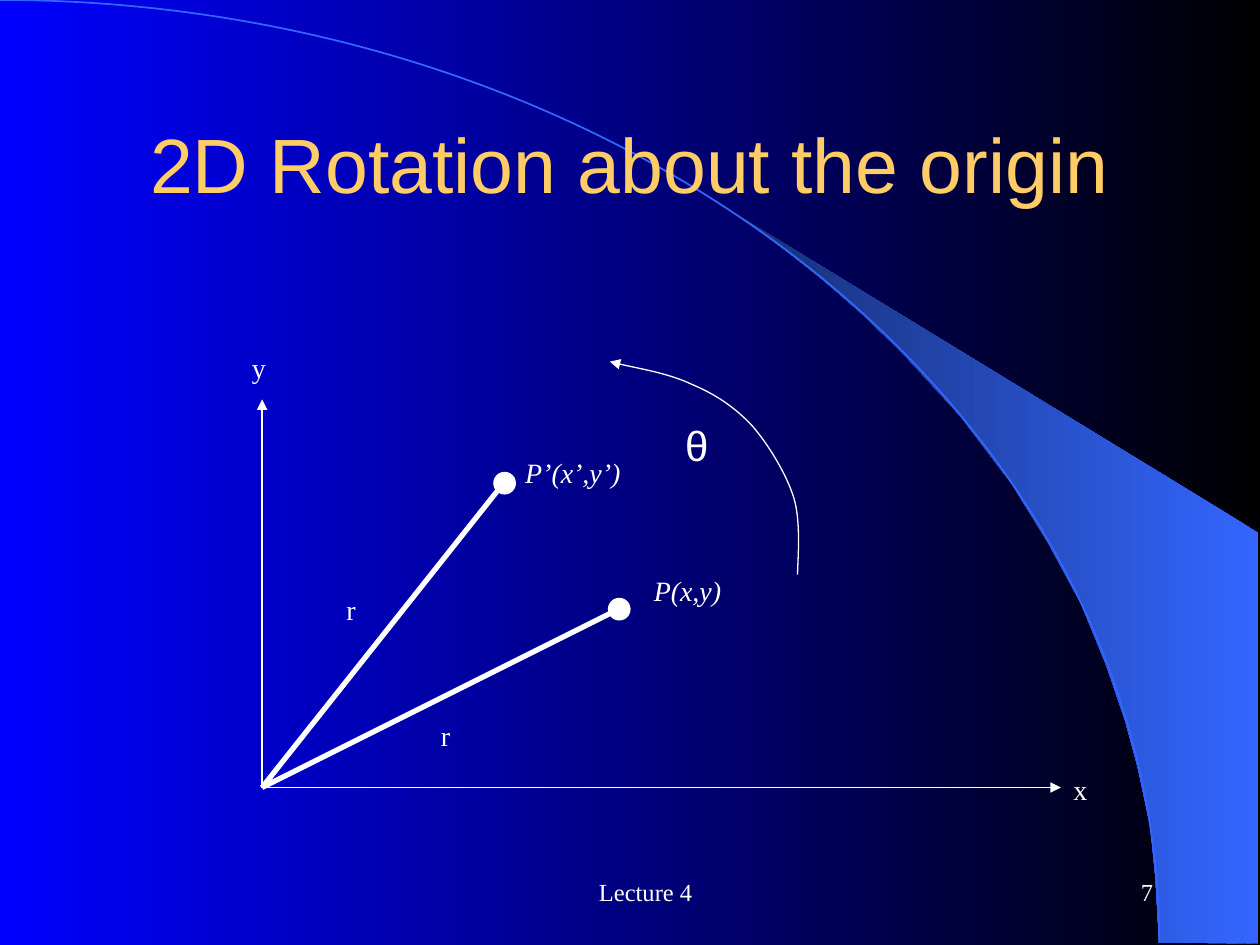
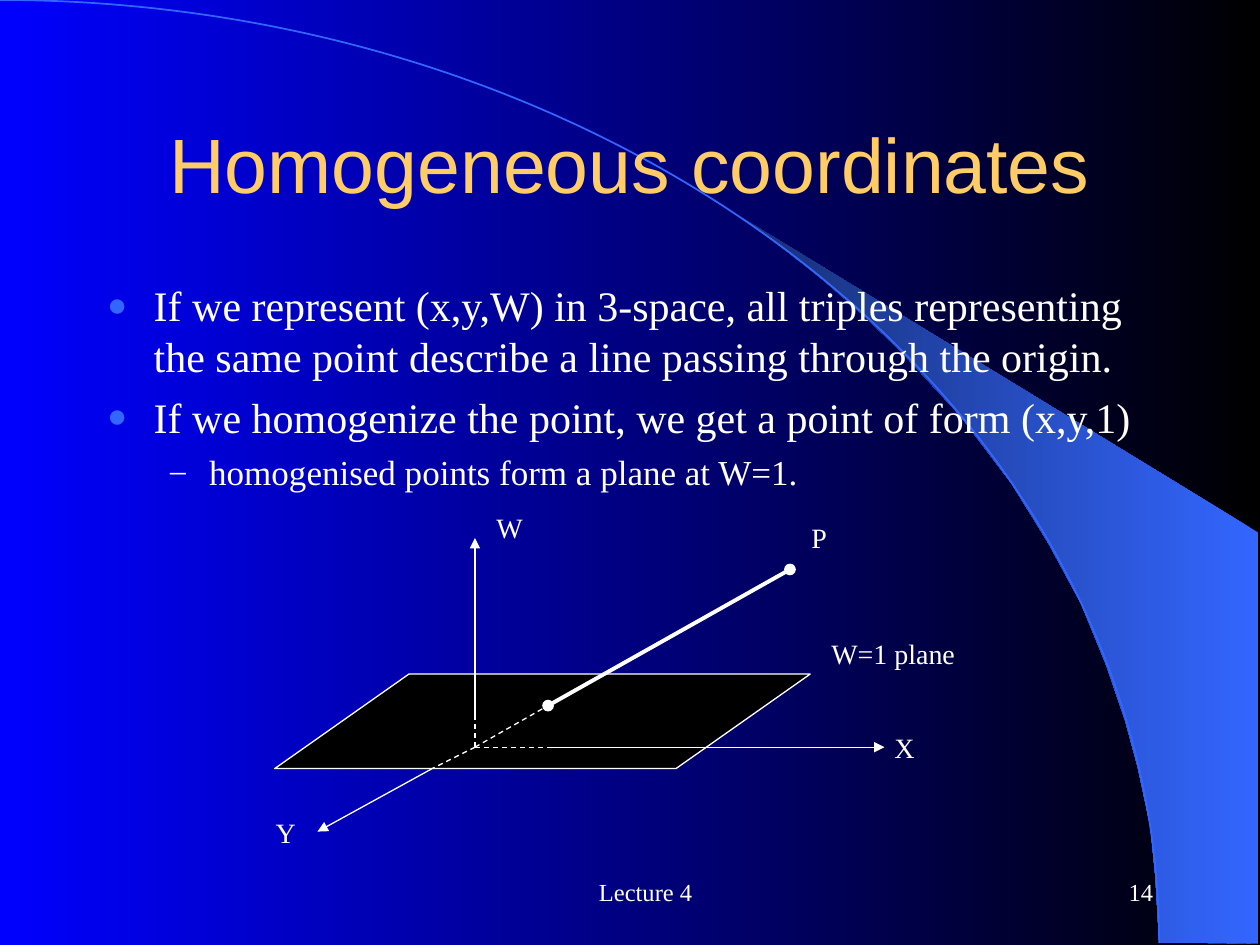
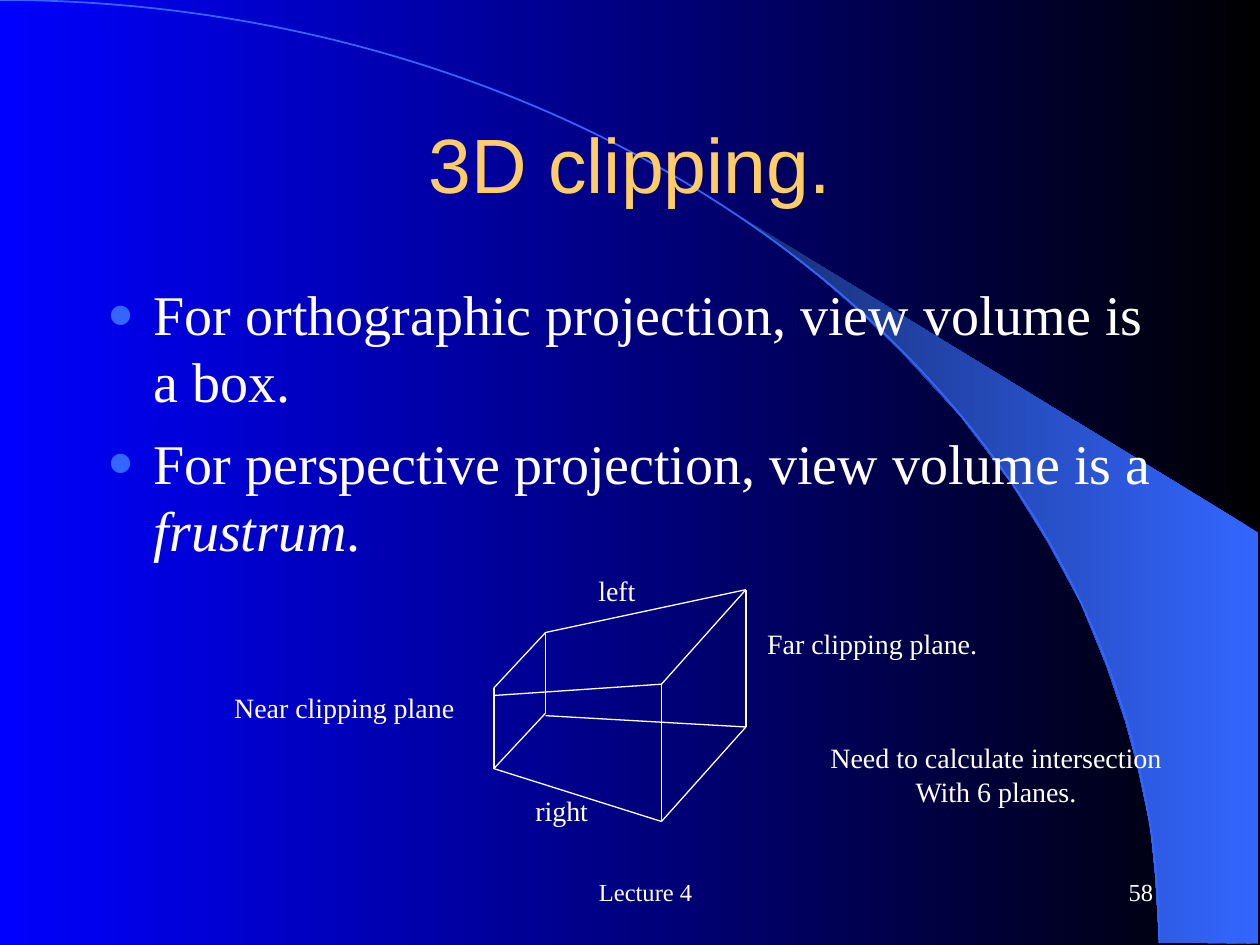
from lxml.etree import SubElement
from pptx import Presentation
from pptx.dml.color import RGBColor
from pptx.enum.dml import MSO_LINE
from pptx.enum.shapes import MSO_CONNECTOR, MSO_SHAPE
from pptx.enum.text import MSO_ANCHOR, MSO_AUTO_SIZE, PP_ALIGN
from pptx.oxml.ns import qn
from pptx.util import Inches, Pt

WHITE, BLACK, GOLD = "FFFFFF", "000000", "FFCC66"
BLUE, SKY, NAVY = "0000FF", "3366FF", "172F75"
SERIF, SANS = "Times New Roman", "Arial"
FOOTER = "Lecture 4"
TITLE_AREA = (0.75, 0.67, 8.5, 1.25)
FOOTER_AREA = (3.42, 6.83, 3.17, 0.5)
NUMBER_AREA = (7.17, 6.83, 2.08, 0.5)
HORIZON_AREA = (-9.2, 0, 18.4, 14.97)

# Per level: left indent, hanging indent, bullet, bullet colour, bullet size in percent
BULLETS = [(0.37, -0.37, "●", SKY, 80), (0.81, -0.31, "–", WHITE, 90)]

SWOOSH = [(9.2, 7.48), (9.99, 7.49), (9.99, 4.23), (5.89, 1.73), (6.24, 1.99),
          (6.53, 2.22), (6.85, 2.5), (7.16, 2.8), (7.62, 3.3), (8.03, 3.84),
          (8.32, 4.31), (8.58, 4.79), (8.78, 5.28), (8.93, 5.72), (9.03, 6.09),
          (9.13, 6.56), (9.17, 6.96)]
# A start point, then two control points and an end point per segment
ROTATION = [(6.33, 4.56), (6.33, 4.45), (6.36, 4.15), (6.3, 3.95),
            (6.24, 3.76), (6.1, 3.53), (5.97, 3.38),
            (5.83, 3.23), (5.68, 3.13), (5.49, 3.05),
            (5.3, 2.96), (4.98, 2.91), (4.84, 2.87)]

# Labels: text, left, top, width
ROTATION_LABELS = [("y", 1.9, 2.73, 0.31), ("x", 8.42, 6.08, 0.31),
                   ("r", 2.65, 4.65, 0.27), ("r", 3.4, 5.65, 0.27)]
POINT_LABELS = [("P’(x’,y’)", 4.07, 3.57, 0.97), ("P(x,y)", 5.09, 4.5, 0.75)]
SPACE_LABELS = [("P", 6.34, 4.08, 0.32), ("X", 7, 5.75, 0.36), ("Y", 2.09, 6.42, 0.36),
                ("W", 3.84, 4, 0.41), ("W=1 plane", 6.5, 5, 1.18)]
CLIPPING_LABELS = [("Far clipping plane.", 5.99, 4.92, 1.87),
                   ("Near clipping plane", 1.76, 5.43, 1.95),
                   ("left", 4.65, 4.5, 0.51), ("right", 4.15, 6.25, 0.62)]

# Body items: level, size, space before, runs of (text, italic)
HOMOGENEOUS_ITEMS = [
    (0, 24, 6, [("If we represent (x,y,W) in 3-space, all triples representing "
                 "the same point describe a line passing through the origin.", False)]),
    (0, 24, 6, [("If we homogenize the point, we get a point of form (x,y,1)", False)]),
    (1, 20, 5, [("homogenised points form a plane at W=1.", False)]),
]
CLIPPING_ITEMS = [
    (0, 32, 8, [("For orthographic projection, view volume is a box.", False)]),
    (0, 32, 8, [("For perspective projection, view volume is a ", False),
                ("frustrum", True), (".", False)]),
]

FAR_FACE = [(5.25, 5.43), (5.92, 4.68), (5.92, 5.77), (5.25, 6.52)]
NEAR_FACE = [(3.92, 5.46), (4.33, 5.02), (4.33, 5.66), (3.92, 6.1)]
SIDE_EDGES = [((3.92, 6.1), (5.25, 6.52)), ((4.33, 5.02), (5.92, 4.68)),
              ((3.92, 5.52), (5.25, 5.43)), ((4.33, 5.68), (5.92, 5.77))]


def rgb(color):
    return RGBColor.from_string(color)


def inches(values):
    return [Inches(value) for value in values]


def fill_gradient(fill, right, left):
    fill.gradient()
    fill.gradient_angle = 180
    for stop, color in zip(fill.gradient_stops, (right, left)):
        stop.color.rgb = rgb(color)


def style_line(shape, color=WHITE, width=0.75, dashed=False, head=None, tail=None):
    shape.line.color.rgb = rgb(color)
    shape.line.width = Pt(width)
    if dashed:
        shape.line.dash_style = MSO_LINE.DASH
    outline = shape.element.spPr.find(qn("a:ln"))
    for tag, kind in (("a:headEnd", head), ("a:tailEnd", tail)):
        if kind:
            SubElement(outline, qn(tag), type=kind)


def add_line(slide, start, end, **style):
    line = slide.shapes.add_connector(MSO_CONNECTOR.STRAIGHT, *inches(start + end))
    style_line(line, **style)
    SubElement(line.element.spPr, qn("a:effectLst"))


def add_outline(slide, points, close):
    corners = [inches(point) for point in points]
    builder = slide.shapes.build_freeform(*corners[0])
    builder.add_line_segments(corners[1:], close=close)
    shape = builder.convert_to_shape()
    shape.shadow.inherit = False
    return shape


def add_curve(slide, controls, **style):
    """Draw an open outline, each three points after the first being a Bezier segment."""
    curve = add_outline(slide, controls, close=False)
    segments = list(curve.element.iter(qn("a:lnTo")))
    route = segments[0].getparent()
    for i in range(0, len(segments), 3):
        bend = SubElement(route, qn("a:cubicBezTo"))
        for segment in segments[i:i + 3]:
            bend.append(segment[0])
            route.remove(segment)
    curve.fill.background()
    style_line(curve, **style)


def add_preset(slide, kind, area, fill=None, **style):
    shape = slide.shapes.add_shape(kind, *inches(area))
    shape.shadow.inherit = False
    if fill:
        shape.fill.solid()
        shape.fill.fore_color.rgb = rgb(fill)
    else:
        shape.fill.background()
    style_line(shape, **style)
    return shape


def format_paragraph(para, size, font=SERIF, color=WHITE, align=None):
    para.alignment = align
    for span in para.runs:
        span.font.size = Pt(size)
        span.font.name = font
        span.font.color.rgb = rgb(color)


def add_label(slide, text, left, top, width, height=0.37, size=16, font=SERIF,
              italic=None, align=None):
    box = slide.shapes.add_textbox(*inches((left, top, width, height)))
    frame = box.text_frame
    frame.text = text
    frame.word_wrap = False
    frame.auto_size = MSO_AUTO_SIZE.SHAPE_TO_FIT_TEXT
    for para in frame.paragraphs:
        format_paragraph(para, size, font, align=align)
        for span in para.runs:
            span.font.italic = italic


def add_footer(slide, text, area, align):
    box = slide.shapes.add_textbox(*inches(area))
    frame = box.text_frame
    frame.text = text
    frame.word_wrap = True
    frame.vertical_anchor = MSO_ANCHOR.MIDDLE
    para = frame.paragraphs[0]
    format_paragraph(para, 14, align=align)
    para._p.get_or_add_pPr().set("marL", str(Inches(0.24)))


def place(shape, area):
    shape.left, shape.top, shape.width, shape.height = inches(area)
    shape.text_frame.auto_size = MSO_AUTO_SIZE.NONE


def fill_body(slide, items, height):
    body = slide.placeholders[1]
    place(body, (0.75, 2.17, 8.5, height))
    frame = body.text_frame
    for i, (level, size, space, spans) in enumerate(items):
        para = frame.add_paragraph() if i else frame.paragraphs[0]
        para.level = level
        para.space_before = Pt(space)
        for text, italic in spans:
            span = para.add_run()
            span.text = text
            span.font.italic = italic
        format_paragraph(para, size)
        set_bullet(para, *BULLETS[level])


def set_bullet(para, margin, indent, symbol, color, percent):
    props = para._p.get_or_add_pPr()
    props.set("marL", str(Inches(margin)))
    props.set("indent", str(Inches(indent)))
    SubElement(SubElement(props, qn("a:buClr")), qn("a:srgbClr"), val=color)
    SubElement(props, qn("a:buSzPct"), val=str(percent * 1000))
    SubElement(props, qn("a:buFont"), typeface=SERIF)
    SubElement(props, qn("a:buChar"), char=symbol)


def add_slide(deck, layout, title, number):
    slide = deck.slides.add_slide(deck.slide_layouts.get_by_name(layout))
    heading = slide.shapes.title
    place(heading, TITLE_AREA)
    heading.text_frame.text = title
    heading.text_frame.vertical_anchor = MSO_ANCHOR.MIDDLE
    format_paragraph(heading.text_frame.paragraphs[0], 44, SANS, GOLD, PP_ALIGN.CENTER)
    add_footer(slide, FOOTER, FOOTER_AREA, PP_ALIGN.CENTER)
    add_footer(slide, str(number), NUMBER_AREA, PP_ALIGN.RIGHT)
    return slide


def decorate_master(deck, slide):
    """Draw the backdrop with the slide's builder, then move it to the master."""
    master = deck.slide_master
    fill_gradient(master.background.fill, BLACK, BLUE)
    swoosh = add_outline(slide, SWOOSH, close=True)
    fill_gradient(swoosh.fill, SKY, NAVY)
    swoosh.line.fill.background()
    horizon = add_preset(slide, MSO_SHAPE.ARC, HORIZON_AREA, color=SKY, width=1)
    for i, shape in enumerate((swoosh, horizon)):
        shape.element.nvSpPr.cNvPr.set("id", str(100 + i))
        master.element.cSld.spTree.insert(2 + i, shape.element)


def draw_rotation(slide):
    origin = (2.08, 6.25)
    for tip in ((2.08, 3.17), (8.42, 6.25)):
        add_line(slide, origin, tip, tail="triangle")
    for dot, end in (((4.83, 4.75), (4.92, 4.83)), ((3.92, 3.75), (4, 3.83))):
        add_preset(slide, MSO_SHAPE.OVAL, dot + (0.17, 0.17), WHITE)
        add_line(slide, origin, end, width=3)
    for label in ROTATION_LABELS:
        add_label(slide, *label)
    for label in POINT_LABELS:
        add_label(slide, *label, italic=True)
    add_curve(slide, ROTATION, tail="triangle")
    add_label(slide, "θ", 5.34, 3.28, 0.37, 0.5, size=24, font=SANS)


def draw_space(slide):
    plane = add_preset(slide, MSO_SHAPE.PARALLELOGRAM, (2.18, 5.35, 4.25, 0.75), BLACK)
    plane.adjustments[0] = 1.42
    origin, point = (3.77, 5.93), (4.35, 5.6)
    axes = [((3.77, 5.68), (3.77, 4.27)), ((4.35, 5.93), (7.02, 5.93)),
            ((3.43, 6.1), (2.52, 6.6))]
    for start, tip in axes:
        add_line(slide, origin, start, dashed=True)
        add_line(slide, start, tip, tail="triangle")
    add_line(slide, origin, point, dashed=True)
    add_line(slide, point, (6.27, 4.52), width=2.25, head="oval", tail="oval")
    for label in SPACE_LABELS:
        add_label(slide, *label)


def draw_frustum(slide):
    edges = list(SIDE_EDGES)
    for face in (FAR_FACE, NEAR_FACE):
        edges += zip(face, face[1:] + face[:1])
    for start, end in edges:
        add_line(slide, start, end)
    for label in CLIPPING_LABELS:
        add_label(slide, *label)
    add_label(slide, "Need to calculate intersection\nWith 6 planes.",
              6.49, 5.83, 2.83, 0.64, align=PP_ALIGN.CENTER)


def main():
    deck = Presentation()
    deck.slide_width, deck.slide_height = Inches(10), Inches(7.5)

    rotation = add_slide(deck, "Title Only", "2D Rotation about the origin", 7)
    decorate_master(deck, rotation)
    draw_rotation(rotation)

    homogeneous = add_slide(deck, "Title and Content", "Homogeneous coordinates", 14)
    fill_body(homogeneous, HOMOGENEOUS_ITEMS, 2.01)
    draw_space(homogeneous)

    clipping = add_slide(deck, "Title and Content", "3D clipping.", 58)
    fill_body(clipping, CLIPPING_ITEMS, 4.5)
    draw_frustum(clipping)

    deck.save("out.pptx")


if __name__ == "__main__":
    main()
